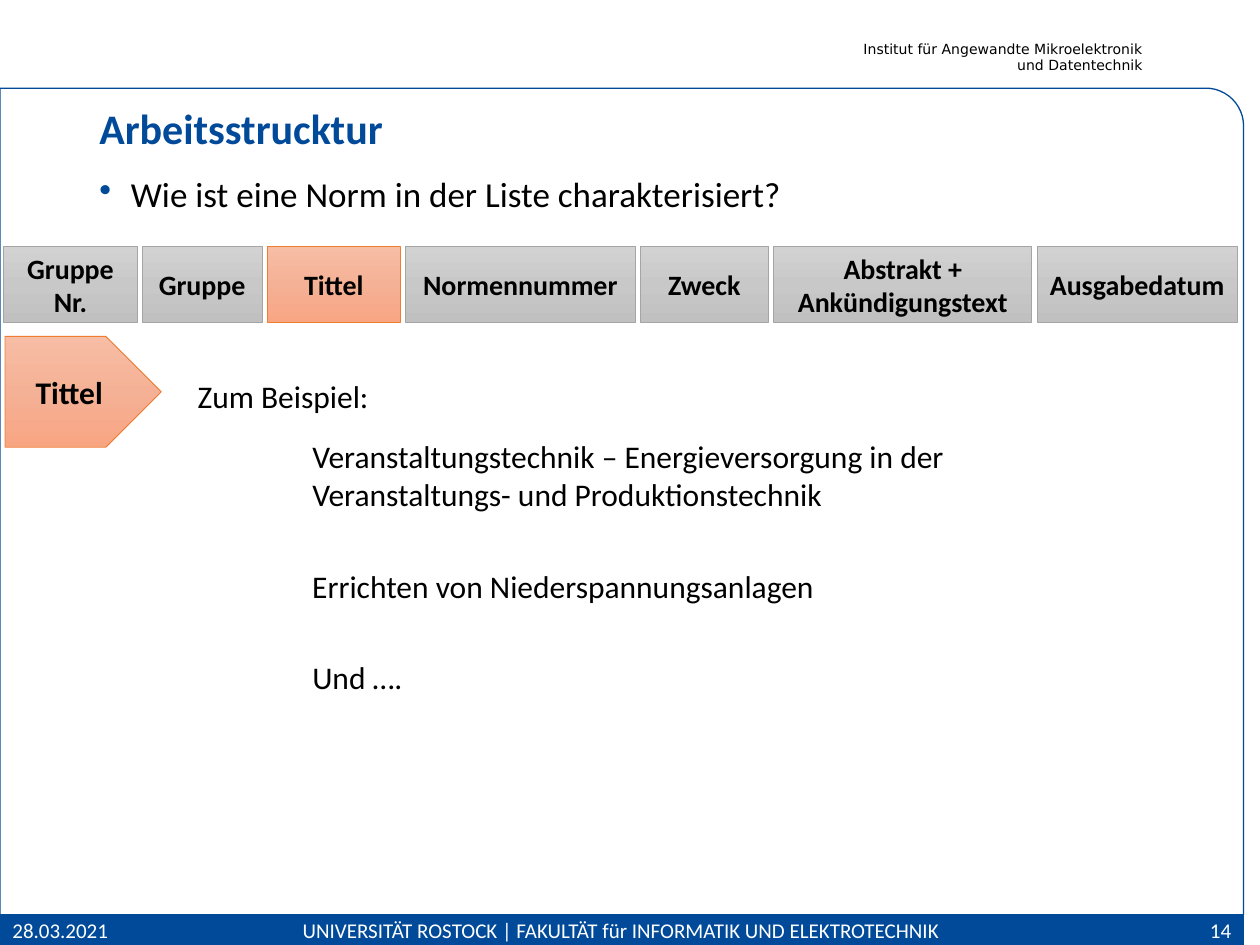
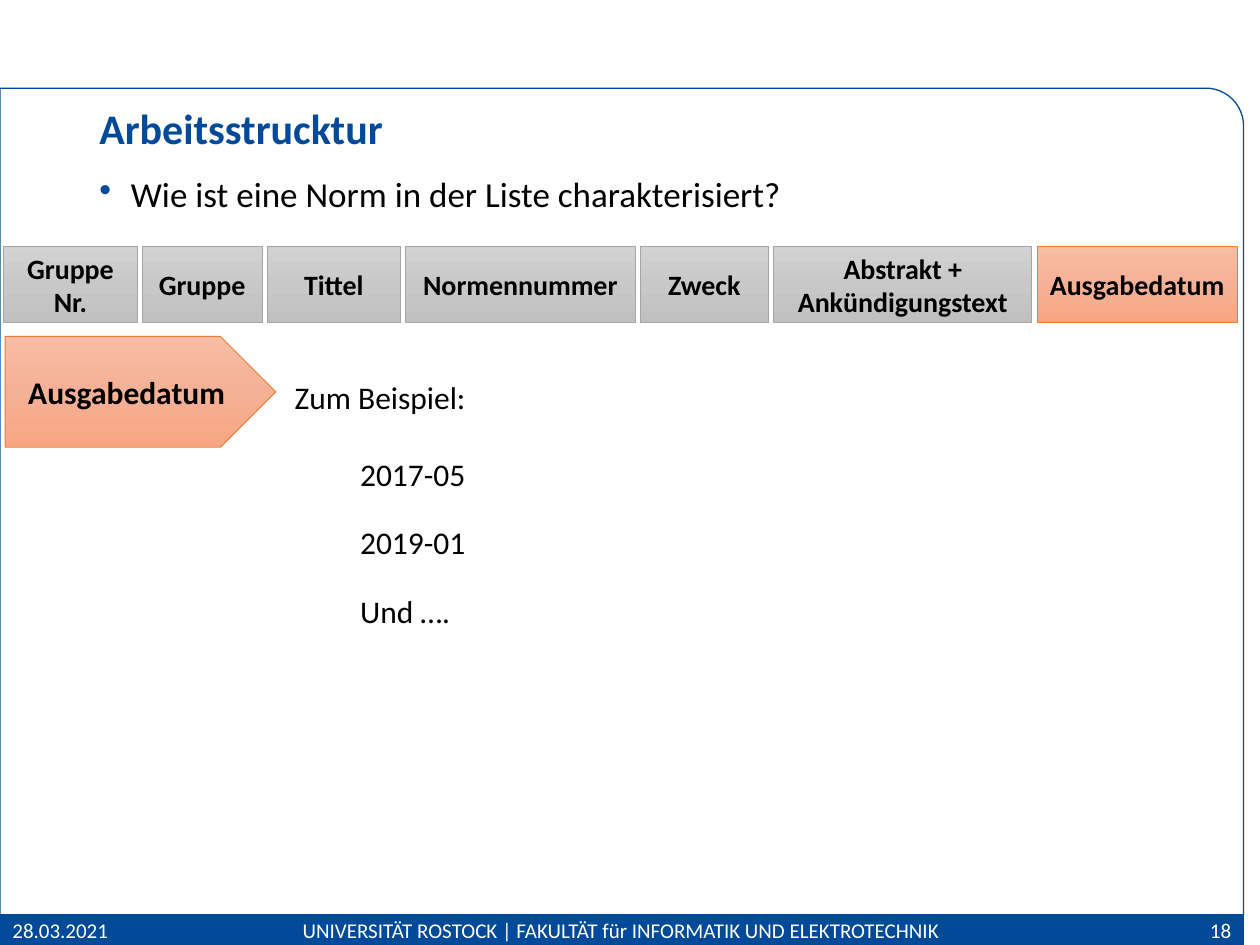
from copy import deepcopy
from math import cos, pi, sin

from lxml.etree import SubElement
from pptx import Presentation
from pptx.dml.color import RGBColor
from pptx.enum.shapes import MSO_SHAPE as Shape
from pptx.enum.text import MSO_ANCHOR as Anchor, PP_ALIGN as Align
from pptx.oxml.ns import qn
from pptx.util import Pt

BLUE, BLACK, WHITE = "004A99", "000000", "FFFFFF"
GREY_BOX = (["D2D2D2", "C8C8C8", "C0C0C0"], "A5A5A5")
ORANGE_BOX = (["F7BDA5", "F5B196", "F8A582"], "ED7D31")

TITLE = "Arbeitsstrucktur"
QUESTION = "Wie ist eine Norm in der Liste charakterisiert?"
INSTITUTE = "Institut für Angewandte Mikroelektronik\nund Datentechnik"
DATE = "28.03.2021"
FACULTY = "UNIVERSITÄT ROSTOCK | FAKULTÄT für INFORMATIK UND ELEKTROTECHNIK"

# Name and width of each field of a standard
FIELDS = [
    ("Gruppe Nr.", 76.32), ("Gruppe", 68.4), ("Tittel", 76.32),
    ("Normennummer", 131.04), ("Zweck", 73.44),
    ("Abstrakt + Ankündigungstext", 147.6), ("Ausgabedatum", 114.48),
]
FIELD_LEFT, FIELD_TOP, FIELD_HEIGHT, FIELD_GAP = 2.16, 141.12, 43.2, 2.88

# Texts are (text, left, top, width, height)
SLIDES = [
    dict(number="14", field="Tittel", arrow_width=89.28, institute=INSTITUTE, texts=[
        ("Zum Beispiel:", 105.84, 211.68, 116, 29),
        ("Veranstaltungstechnik – Energieversorgung in der\n"
         "Veranstaltungs- und Produktionstechnik", 171.36, 246.24, 384, 51),
        ("Errichten von Niederspannungsanlagen", 171.36, 320.4, 335, 29),
        ("Und ….", 171.36, 372.24, 70, 29),
    ]),
    dict(number="18", field="Ausgabedatum", arrow_width=154.8, institute=None, texts=[
        ("Zum Beispiel:", 161.28, 212.4, 116, 29),
        ("2017-05", 198.72, 256.32, 153, 29),
        ("2019-01", 198.72, 295.2, 484, 29),
        ("Und ….", 198.72, 334.8, 70, 29),
    ]),
]

PAGE_RIGHT, FRAME_TOP, CORNER = 710.64, 50.4, 21.6
BAND_TOP, BAND_HEIGHT = 522.72, 17.28


def rgb(color):
    return RGBColor.from_string(color)


def set_text(shape, text, size, color=BLACK, bold=False, align=Align.LEFT,
             anchor=Anchor.TOP, font="Calibri", spacing=None):
    frame = shape.text_frame
    frame.text = text
    frame.word_wrap = True
    frame.vertical_anchor = anchor
    for paragraph in frame.paragraphs:
        paragraph.alignment = align
        paragraph.line_spacing = spacing
        for run in paragraph.runs:
            run.font.name = font
            run.font.size = Pt(size)
            run.font.bold = bold
            run.font.color.rgb = rgb(color)


def add_text(slide, text, left, top, width, height, size, **style):
    box = slide.shapes.add_textbox(Pt(left), Pt(top), Pt(width), Pt(height))
    set_text(box, text, size, **style)
    return box


def add_bullet(paragraph, color, indent):
    properties = paragraph._p.get_or_add_pPr()
    properties.set("marL", str(Pt(indent)))
    properties.set("indent", str(-Pt(indent)))
    bullet_color = SubElement(properties, qn("a:buClr"))
    SubElement(bullet_color, qn("a:srgbClr"), val=color)
    SubElement(properties, qn("a:buChar"), char="•")


def set_line(shape, color, width):
    shape.shadow.inherit = False
    shape.line.color.rgb = rgb(color)
    shape.line.width = Pt(width)


def add_gradient_box(slide, kind, text, left, top, width, height, colors, size):
    stops, line_color = colors
    shape = slide.shapes.add_shape(kind, Pt(left), Pt(top), Pt(width), Pt(height))
    set_line(shape, line_color, 0.5)
    shape.fill.gradient()
    shape.fill.gradient_angle = 270
    stop_list = shape.element.spPr.find(qn("a:gradFill")).find(qn("a:gsLst"))
    stop_list.insert(1, deepcopy(stop_list[0]))
    for index, (stop, color) in enumerate(zip(shape.fill.gradient_stops, stops)):
        stop.position = index / 2
        stop.color.rgb = rgb(color)
    set_text(shape, text, size, bold=True, align=Align.CENTER, anchor=Anchor.MIDDLE)


def add_frame(slide):
    """Outline of the content area with a rounded top right corner."""
    steps = 12
    angles = [pi / 2 * (1 - step / steps) for step in range(steps + 1)]
    corner = [(PAGE_RIGHT - CORNER + CORNER * cos(angle),
               FRAME_TOP + CORNER - CORNER * sin(angle)) for angle in angles]
    points = corner + [(PAGE_RIGHT, BAND_TOP), (0, BAND_TOP)]
    builder = slide.shapes.build_freeform(0, Pt(FRAME_TOP))
    builder.add_line_segments([(Pt(x), Pt(y)) for x, y in points], close=True)
    frame = builder.convert_to_shape()
    frame.fill.background()
    set_line(frame, BLUE, 0.75)


def add_footer(slide, number):
    band = slide.shapes.add_shape(
        Shape.RECTANGLE, 0, Pt(BAND_TOP), Pt(PAGE_RIGHT), Pt(BAND_HEIGHT))
    band.fill.solid()
    band.fill.fore_color.rgb = rgb(BLUE)
    set_line(band, BLUE, 0.75)
    for text, left, width, align in [
        (DATE, 0, 72.72, Align.LEFT),
        (FACULTY, 127.44, 455.04, Align.CENTER),
        (number, PAGE_RIGHT - 72.72, 72.72, Align.RIGHT),
    ]:
        add_text(slide, text, left, BAND_TOP, width, BAND_HEIGHT, 12,
                 color=WHITE, align=align, anchor=Anchor.MIDDLE)


def add_institute(slide, text):
    box = add_text(slide, text, 480, 19.44, 176.64, 26.64, 8,
                   align=Align.RIGHT, font="DejaVu Sans")
    frame = box.text_frame
    frame.margin_left = frame.margin_right = Pt(3.6)


def add_fields(slide, current):
    left = FIELD_LEFT
    for name, width in FIELDS:
        colors = ORANGE_BOX if name == current else GREY_BOX
        add_gradient_box(slide, Shape.RECTANGLE, name, left, FIELD_TOP,
                         width, FIELD_HEIGHT, colors, 16)
        left += width + FIELD_GAP


def main():
    presentation = Presentation()
    presentation.slide_width, presentation.slide_height = Pt(720), Pt(540)
    for content in SLIDES:
        slide = presentation.slides.add_slide(presentation.slide_layouts[6])
        add_frame(slide)
        add_footer(slide, content["number"])
        if content["institute"]:
            add_institute(slide, content["institute"])
        add_text(slide, TITLE, 49.68, 51.84, 620.64, 46.08, 24, color=BLUE,
                 bold=True, anchor=Anchor.MIDDLE, spacing=0.9)
        question = add_text(slide, QUESTION, 49.68, 97.92, 620.64, 101.52, 20,
                            spacing=0.9)
        add_bullet(question.text_frame.paragraphs[0], BLUE, 18)
        add_fields(slide, content["field"])
        add_gradient_box(slide, Shape.PENTAGON, content["field"], 2.88, 192.24,
                         content["arrow_width"], 63.36, ORANGE_BOX, 18)
        for text, *place in content["texts"]:
            add_text(slide, text, *place, 18)
    presentation.save("out.pptx")


if __name__ == "__main__":
    main()
